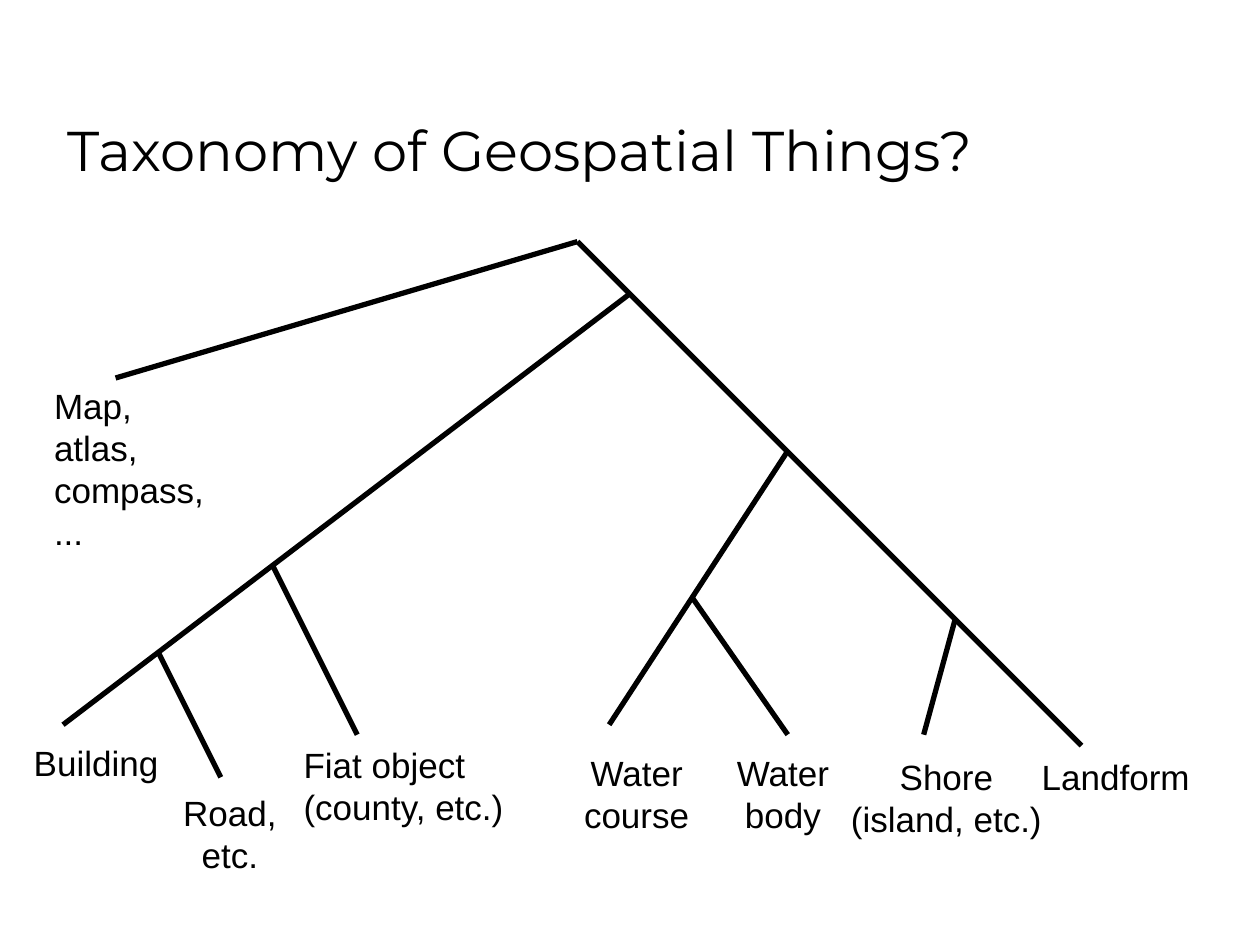
from lxml.etree import SubElement
from pptx import Presentation
from pptx.dml.color import RGBColor
from pptx.enum.shapes import MSO_CONNECTOR
from pptx.enum.text import MSO_ANCHOR, MSO_AUTO_SIZE, PP_ALIGN
from pptx.oxml.ns import qn
from pptx.util import Cm, Pt

BLACK = RGBColor(0x00, 0x00, 0x00)
LEFT, CENTER = PP_ALIGN.LEFT, PP_ALIGN.CENTER

# Forks of the tree, in cm
ROOT = (11.64, 4.87)
GEOGRAPHIC = (12.7, 5.92)
NATURAL = (15.88, 9.09)
WATER = (13.97, 12.07)
LAND = (19.25, 12.5)
ARTIFICIAL = (5.51, 11.43)
BUILT = (3.18, 13.13)

# Each branch runs from a fork to a leaf
BRANCHES = [
    (ROOT, (21.8, 15.03)),         # Landform
    (LAND, (18.62, 14.81)),        # Shore
    (WATER, (15.88, 14.81)),       # Water body
    (NATURAL, (12.28, 14.61)),     # Water course
    (GEOGRAPHIC, (1.27, 14.61)),   # Building
    (ARTIFICIAL, (7.2, 14.81)),    # Fiat object
    (BUILT, (4.45, 15.67)),        # Road
    (ROOT, (2.33, 7.62)),          # Map
]

# Leaf labels: lines, (left, top, width, height) in cm, alignment, wrap
LEAVES = [
    (["Landform"], (20.75, 15.11, 3.6, 1.12), LEFT, False),
    (["Shore", "(island, etc.)"], (16.85, 15.11, 4.46, 1.96), CENTER, False),
    (["Water body"], (14.17, 15.03, 3.23, 1.96), CENTER, True),
    (["Water course"], (11.22, 15.03, 3.23, 1.96), CENTER, True),
    (["Fiat object", "(county, etc.)"], (5.87, 14.86, 4.7, 1.96), LEFT, False),
    (["Building"], (0.43, 14.82, 3.12, 1.12), LEFT, False),
    (["Road, etc."], (3.34, 15.83, 2.59, 1.96), CENTER, True),
    (["Map, atlas, compass, ..."], (0.84, 7.62, 3.63, 3.66), LEFT, True),
]


def add_text(slide, lines, box, font_name, size, align=LEFT, wrap=True):
    frame = slide.shapes.add_textbox(*map(Cm, box)).text_frame
    frame.word_wrap = wrap
    for index, line in enumerate(lines):
        paragraph = frame.add_paragraph() if index else frame.paragraphs[0]
        paragraph.alignment = align
        run = paragraph.add_run()
        run.text = line
        run.font.name = font_name
        run.font.size = Pt(size)
        run.font.color.rgb = BLACK
    return frame


def add_title(slide, title):
    frame = add_text(slide, [title], (1.12, 0.62, 21.59, 3.18), "Montserrat", 32)
    frame.vertical_anchor = MSO_ANCHOR.BOTTOM


def add_leaf(slide, lines, box, align, wrap):
    frame = add_text(slide, lines, box, "Arial", 20, align, wrap)
    frame.auto_size = MSO_AUTO_SIZE.SHAPE_TO_FIT_TEXT


def add_branch(slide, fork, leaf):
    branch = slide.shapes.add_connector(
        MSO_CONNECTOR.STRAIGHT, *map(Cm, fork + leaf))
    branch.line.color.rgb = BLACK
    branch.line.width = Pt(3)
    SubElement(branch._element.spPr, qn("a:effectLst"))


def main():
    presentation = Presentation()
    presentation.slide_width = Cm(25.4)
    presentation.slide_height = Cm(19.05)
    slide = presentation.slides.add_slide(presentation.slide_layouts[6])

    add_title(slide, "Taxonomy of Geospatial Things?")

    # Tree
    for fork, leaf in BRANCHES:
        add_branch(slide, fork, leaf)

    # Labels under the leaves
    for lines, box, align, wrap in LEAVES:
        add_leaf(slide, lines, box, align, wrap)

    presentation.save("out.pptx")


if __name__ == "__main__":
    main()
